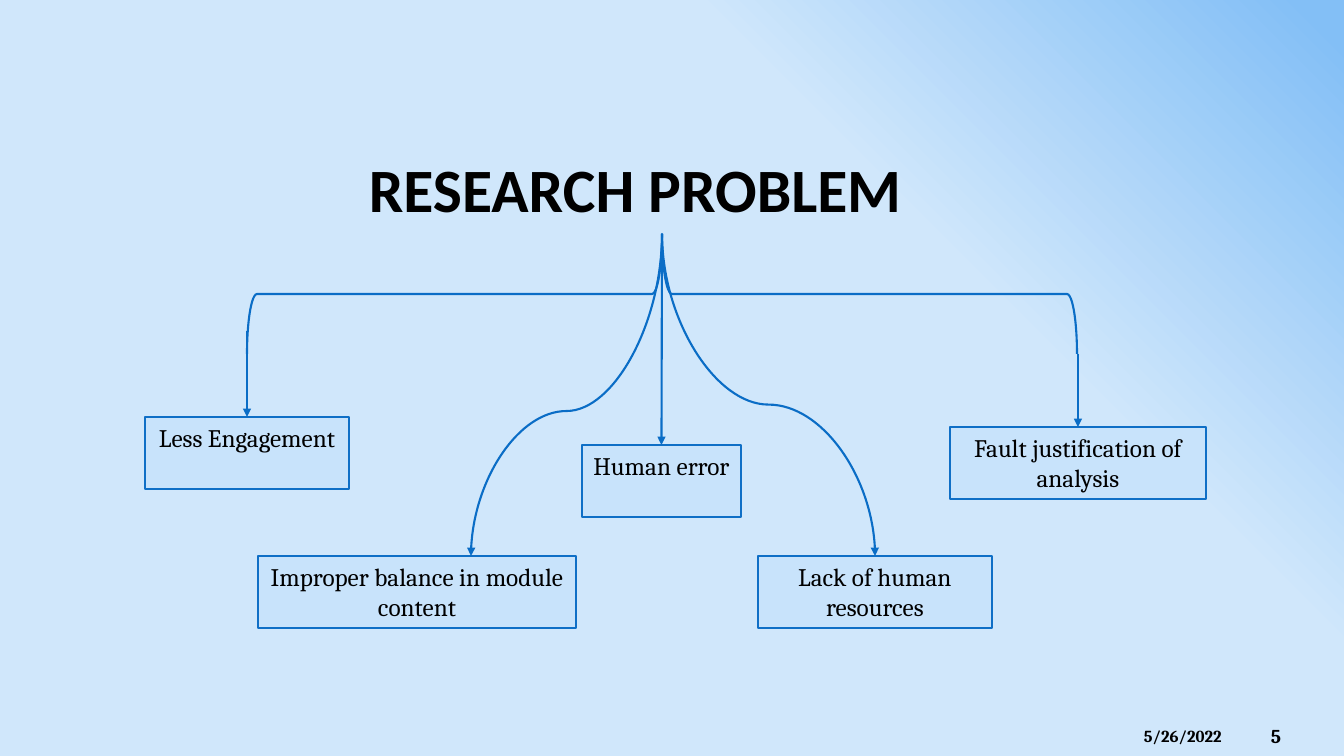
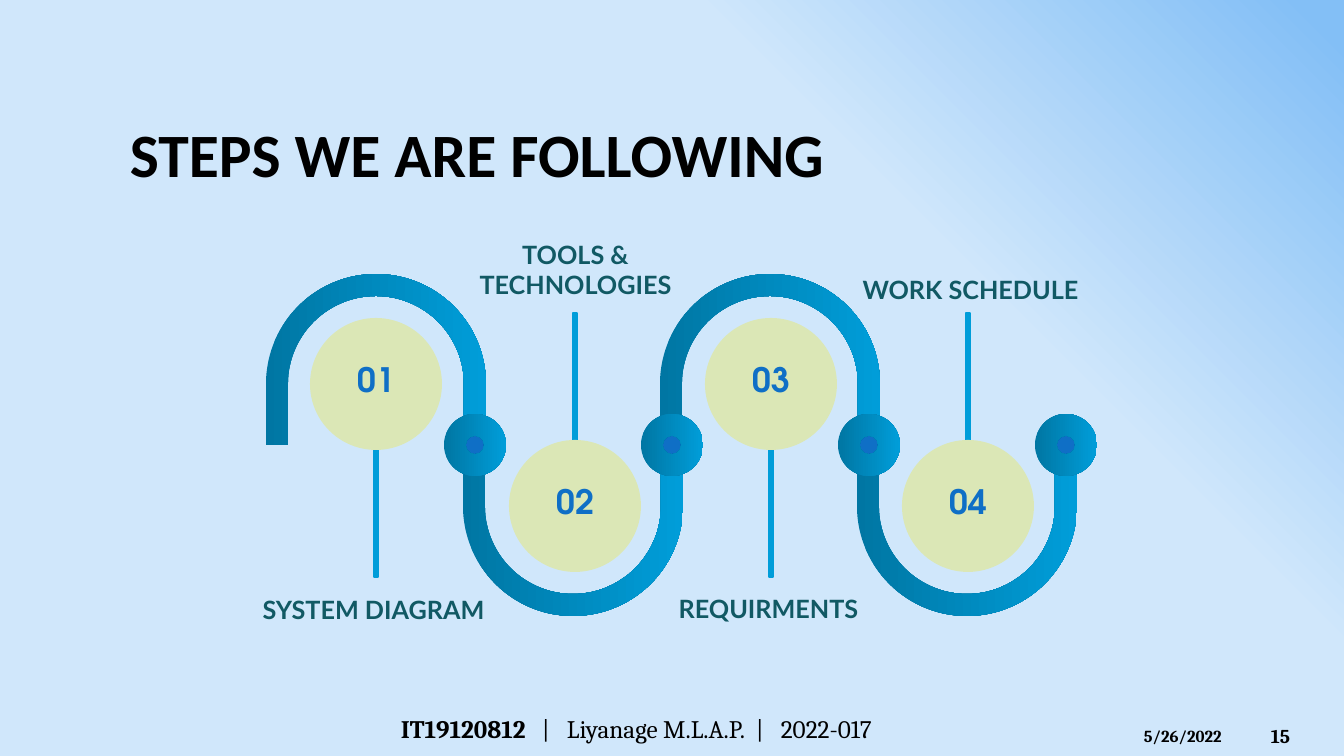
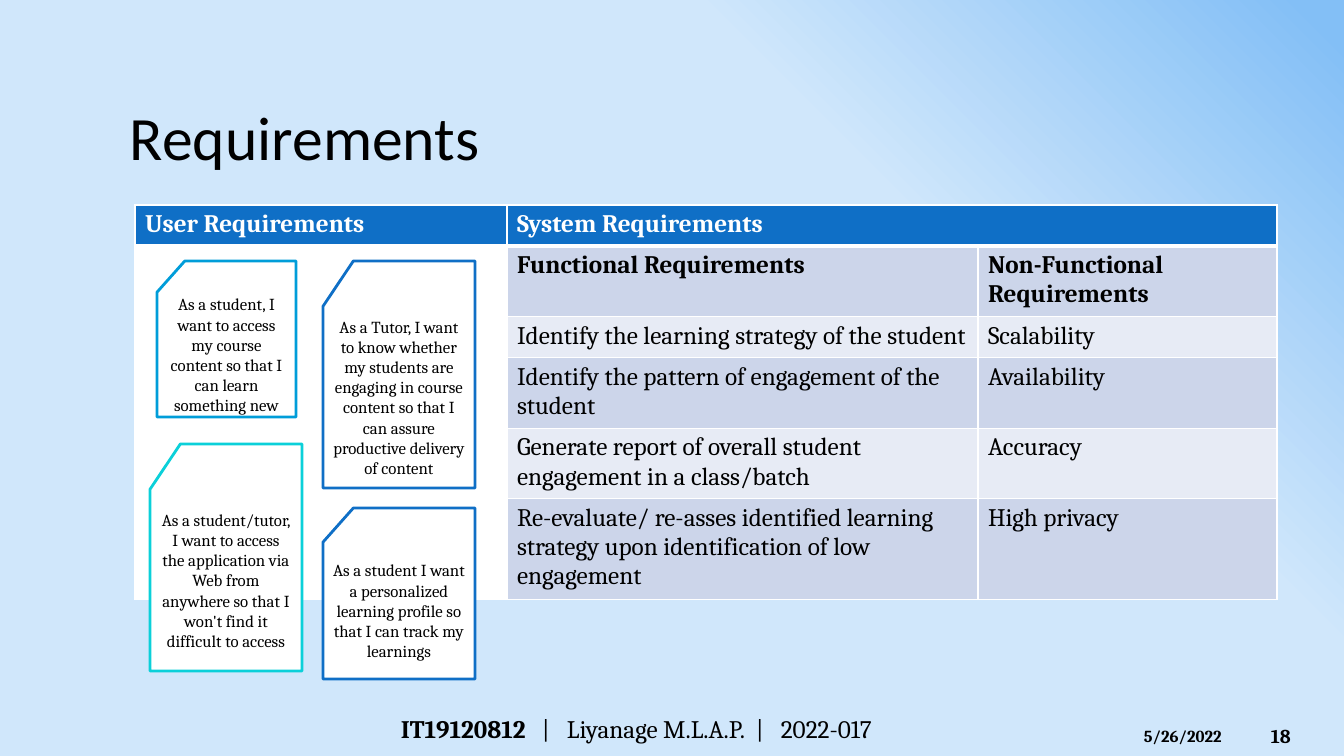
"""Build three research slides: problem tree, step timeline and requirements."""
import math

from lxml import etree
from pptx import Presentation
from pptx import util as u
from pptx.dml import color
from pptx.enum import shapes, text
from pptx.oxml import ns

EMU_PER_PX = 914400 / 100.8
COLOURS = {
    "black": "000000", "white": "FFFFFF", "sky": "D0E7FB", "sky_deep": "83BFF6",
    "blue": "0F6FC6", "branch": "0A6DC6", "pale": "C8E3FB", "cyan": "009DD9",
    "cyan_deep": "0076A3", "aqua": "0BD0D9", "lime": "DBE7B6", "teal": "115964",
    "band_dark": "CCD5EA", "band_light": "E7EBF5",
}
STYLES = {
    name: {"name": font, "size": u.Pt(size), "bold": bold, "color": colour}
    for name, font, size, bold, colour in [
        ("title", "Calibri", 44, True, "black"),
        ("title_light", "Calibri", 44, False, "black"),
        ("body", "Cambria", 18, False, "black"),
        ("strong", "Cambria", 18, True, "black"),
        ("header", "Cambria", 18, True, "white"),
        ("card", "Cambria", 12, False, "black"),
        ("date", "Cambria", 12, True, "black"),
        ("page", "Cambria", 14, True, "black"),
        ("numeral", "TeX Gyre Adventor", 24, True, "blue"),
        ("label", "Lato", 18, True, "teal"),
    ]
}
CENTER, LEFT = text.PP_ALIGN.CENTER, text.PP_ALIGN.LEFT
TOP, MIDDLE = text.MSO_ANCHOR.TOP, text.MSO_ANCHOR.MIDDLE


def px(length):
    """Turn px into EMU."""
    return u.Emu(round(length * EMU_PER_PX))


def rgb(name):
    """Look up a named colour."""
    return color.RGBColor.from_string(COLOURS[name])


def add_run(paragraph, words, style):
    """Append a run in a named style."""
    run = paragraph.add_run()
    run.text = words
    for key, value in STYLES[style].items():
        if key == "color":
            run.font.color.rgb = rgb(value)
        else:
            setattr(run.font, key, value)


def write(frame, words, style, align=LEFT, anchor=TOP):
    """Fill a text frame, one paragraph per line."""
    for key, value in {"word_wrap": True, "vertical_anchor": anchor}.items():
        setattr(frame, key, value)
    for index, line in enumerate(words.split("\n")):
        paragraph = frame.add_paragraph() if index else frame.paragraphs[0]
        paragraph.alignment = align
        add_run(paragraph, line, style)


def add_text(slide, box, words, style, align=LEFT, anchor=TOP):
    """Add a text box."""
    shape = slide.shapes.add_textbox(*map(px, box))
    write(shape.text_frame, words, style, align, anchor)


def set_gradient(fill, stops, angle):
    """Give a fill a two-stop linear gradient."""
    fill.gradient()
    fill.gradient_angle = angle
    for stop, (position, name) in zip(fill.gradient_stops, stops):
        stop.position = position
        stop.color.rgb = rgb(name)


def paint(shape, fill=None, line=None, weight=1.5):
    """Set fill and line of a shape and drop its shadow."""
    shape.shadow.inherit = False
    if fill == "ribbon":
        set_gradient(shape.fill, [(0, "cyan_deep"), (1, "cyan")], 0)
    elif fill:
        shape.fill.solid()
        shape.fill.fore_color.rgb = rgb(fill)
    else:
        shape.fill.background()
    if line:
        shape.line.color.rgb = rgb(line)
        shape.line.width = u.Pt(weight)
    else:
        shape.line.fill.background()
    return shape


def add_preset(slide, kind, box, *colours):
    """Add a painted preset shape."""
    return paint(slide.shapes.add_shape(kind, *map(px, box)), *colours)


def add_disc(slide, kind, x, y, diameter, fill):
    """Add a round shape around a centre."""
    box = (x - diameter / 2, y - diameter / 2, diameter, diameter)
    return add_preset(slide, kind, box, fill)


def add_arrow(slide, kind, start, end):
    """Add a connector with an arrowhead at its end."""
    arrow = slide.shapes.add_connector(kind, *map(px, (*start, *end)))
    arrow.line.color.rgb = rgb("branch")
    arrow.line.width = u.Pt(1.5)
    line = arrow.line._get_or_add_ln()
    etree.SubElement(line, ns.qn("a:tailEnd"), type="triangle")
    etree.SubElement(arrow._element.spPr, ns.qn("a:effectLst"))
    return arrow


def add_drop_curve(slide, start, end, bend):
    """Add a curved arrow that leaves and arrives vertically."""
    (x1, y1), (x2, y2) = start, end
    half_drop, half_shift = (y2 - y1) / 2, abs(x2 - x1) / 2
    x, y = (x1 + x2) / 2, (y1 + y2) / 2
    side = 1 if x2 > x1 else -1
    arrow = add_arrow(slide, shapes.MSO_CONNECTOR.CURVE,
                      (x + side * half_drop, y - half_shift),
                      (x - side * half_drop, y + half_shift))
    properties = arrow._element.spPr
    properties.find(ns.qn("a:xfrm")).set("rot", str((270 if side > 0 else 90) * 60000))
    geometry = properties.find(ns.qn("a:prstGeom"))
    adjustments = geometry.find(ns.qn("a:avLst"))
    if adjustments is None:
        adjustments = etree.SubElement(geometry, ns.qn("a:avLst"))
    etree.SubElement(adjustments, ns.qn("a:gd"), name="adj1", fmla=f"val {round(bend * 100000)}")


def add_footer(slide, box):
    """Write the author line on tab stops."""
    frame = slide.shapes.add_textbox(*map(px, box)).text_frame
    frame.word_wrap = True
    frame.vertical_anchor = MIDDLE
    paragraph = frame.paragraphs[0]
    stops = etree.SubElement(paragraph._p.get_or_add_pPr(), ns.qn("a:tabLst"))
    for position in (141, 166, 355, 380):
        etree.SubElement(stops, ns.qn("a:tab"), pos=str(px(position)), algn="l")
    add_run(paragraph, "IT19120812", "strong")
    add_run(paragraph, "\t|\tLiyanage M.L.A.P.\t|\t2022-017", "body")


def start_slide(presentation, title, title_box, page, style="title", footer=True):
    """Add a slide with title, date, page number and footer."""
    slide = presentation.slides.add_slide(presentation.slide_layouts[6])
    add_text(slide, (1261, 716, 75, 40), page, "page", anchor=MIDDLE)
    add_text(slide, (1134, 721, 118, 30), "5/26/2022", "date")
    add_text(slide, title_box, title, style, anchor=MIDDLE)
    if footer:
        add_footer(slide, (391, 708, 751, 40))
    return slide


def draw_problem_tree(slide, box):
    """Draw the brace, the causes and the arrows to them."""
    left, top = box[:2]
    root = left + 517
    brace = add_preset(slide, shapes.MSO_SHAPE.RIGHT_BRACE,
                       (root - 60, top + 60 - 415, 120, 830), None, "branch")
    brace.rotation = 270
    causes = [
        ("Less Engagement", 0, 183, 204, (102, 97)),
        ("Improper balance in module content", 113, 322, 318, None),
        ("Human error", 437, 211, 159, (517, 13)),
        ("Lack of human\nresources", 613, 322, 234, None),
        ("Fault justification of analysis", 805, 193, 256, (933, 120)),
    ]
    for words, x, y, width, start in causes:
        cause = add_preset(slide, shapes.MSO_SHAPE.RECTANGLE,
                           (left + x, top + y, width, 72), "pale", "blue")
        write(cause.text_frame, words, "body", CENTER)
        if start:
            start = (left + start[0], top + start[1])
            arrow = add_arrow(slide, shapes.MSO_CONNECTOR.STRAIGHT, start, (left + x, top + y))
            arrow.end_connect(cause, 0)
    for x, bend in ((326, 0.55), (730, 0.53)):
        add_drop_curve(slide, (root, top), (left + x, top + 322), bend)


def add_arch(slide, x, base, side, leg=61, outer=110, inner=88):
    """Add a U-shaped ribbon; side is -1 for up and 1 for down."""
    def arc(radius):
        return [(x + radius * math.cos(math.radians(angle)),
                 base + side * (leg + radius * math.sin(math.radians(angle))))
                for angle in range(0, 181, 3)]
    points = [(x + outer, base), *arc(outer), (x - outer, base),
              (x - inner, base), *reversed(arc(inner)), (x + inner, base)]
    points = [(px(across), px(down)) for across, down in points]
    builder = slide.shapes.build_freeform(*points[0], scale=1.0)
    builder.add_line_segments(points[1:], close=True)
    paint(builder.convert_to_shape(), "ribbon")


def draw_timeline(slide, box):
    """Draw the winding ribbon with four numbered steps."""
    left, top = box[:2]
    base, pitch = top + 211, 197
    steps = [
        ("SYSTEM DIAGRAM", 110, -21, 355, 38),
        ("TOOLS & TECHNOLOGIES", 309, 181, 0, 66),
        ("REQUIRMENTS", 505, 374, 354, 38),
        ("WORK SCHEDULE", 702, 576, 35, 38),
    ]
    sides = (-1, 1, -1, 1)
    for step, side in zip(steps, sides):
        y = base + side * 61
        stem = (left + step[1] - 2, y if side < 0 else y - 193, 4, 193)
        add_preset(slide, shapes.MSO_SHAPE.RECTANGLE, stem, "cyan", "cyan", 2)
    for index, side in enumerate(sides):
        add_arch(slide, left + 110 + index * pitch, base, side)
    for index in range(len(steps)):
        x = left + 209 + index * pitch
        add_disc(slide, shapes.MSO_SHAPE.OVAL, x, base, 40, "blue")
        ring = add_disc(slide, shapes.MSO_SHAPE.DONUT, x, base, 62, "ribbon")
        ring.adjustments[0] = 0.35
    for index, (step, side) in enumerate(zip(steps, sides), 1):
        words, x, label_left, label_top, height = step
        x, y = left + x, base + side * 61
        add_disc(slide, shapes.MSO_SHAPE.OVAL, x, y, 132, "lime")
        add_text(slide, (x - 43, y - 30, 86, 59), f"{index:02}", "numeral", CENTER)
        add_text(slide, (left + label_left, top + label_top, 257, height), words, "label", CENTER)


def set_borders(cell, bottom, top):
    """Give a cell white borders; top and bottom in points."""
    properties = cell._tc.get_or_add_tcPr()
    for index, (side, weight) in enumerate((("L", 1), ("R", 1), ("T", top), ("B", bottom))):
        line = etree.Element(ns.qn(f"a:ln{side}"), w=str(u.Pt(weight)))
        fill = etree.SubElement(line, ns.qn("a:solidFill"))
        etree.SubElement(fill, ns.qn("a:srgbClr"), val=COLOURS["white"])
        properties.insert(index, line)


def draw_requirements(slide, box):
    """Draw the requirements table."""
    rows = [
        ("User Requirements", "System Requirements", ""),
        ("", "Functional Requirements", "Non-Functional Requirements"),
        ("", "Identify the learning strategy of the student", "Scalability"),
        ("", "Identify the pattern of engagement of the student", "Availability"),
        ("", "Generate report of overall student engagement in a class/batch", "Accuracy"),
        ("", "Re-evaluate/ re-asses identified learning strategy upon identification "
             "of low engagement", "High privacy"),
    ]
    table = slide.shapes.add_table(len(rows), 3, *map(px, box)).table
    for column, width in zip(table.columns, (372, 471, 299)):
        column.width = px(width)
    for row, height in zip(table.rows, (41, 68, 41, 68, 68, 98)):
        row.height = px(height)
    table.cell(0, 1).merge(table.cell(0, 2))
    styles = ["header", "strong"] + ["body"] * 4
    for row, (values, style) in enumerate(zip(rows, styles)):
        for column, words in enumerate(values):
            cell = table.cell(row, column)
            band = "band_dark" if row % 2 else "band_light"
            fill = "blue" if row == 0 else band if column else "white"
            cell.fill.solid()
            cell.fill.fore_color.rgb = rgb(fill)
            set_borders(cell, 3 if row == 0 else 1, 3 if row == 1 else 1)
            if words:
                write(cell.text_frame, words, style)


def draw_user_cards(slide, box):
    """Draw the user story cards."""
    left, top = box[:2]
    cards = [
        ("As a student, I want to access my course content so that I can learn "
         "something new", (22, 56, 139, 156), "cyan"),
        ("As a Tutor, I want to know whether my students are engaging in course content "
         "so that I can assure productive delivery of content", (188, 56, 152, 227), "blue"),
        ("As a student/tutor, I want to access the application via Web from anywhere "
         "so that I won't find it difficult to access", (15, 239, 152, 227), "aqua"),
        ("As a student I want a personalized learning profile so that I can track my "
         "learnings", (188, 303, 152, 171), "blue"),
    ]
    for words, (x, y, width, height), line in cards:
        card = add_preset(slide, shapes.MSO_SHAPE.FLOWCHART_CARD,
                          (left + x, top + y, width, height), "white", line, 2)
        write(card.text_frame, words, "card", CENTER, MIDDLE)


def main():
    """Build and save the presentation."""
    presentation = Presentation()
    presentation.slide_width, presentation.slide_height = px(1344), px(756)
    set_gradient(presentation.slide_master.background.fill,
                 [(0.69, "sky"), (0.98, "sky_deep")], 45)

    slide = start_slide(presentation, "RESEARCH PROBLEM", (359, 107, 606, 162), "5", footer=False)
    draw_problem_tree(slide, (145, 234, 1061, 394))

    slide = start_slide(presentation, "STEPS WE ARE FOLLOWING", (120, 72, 1142, 162), "15")
    draw_timeline(slide, (266, 234, 831, 393))

    slide = start_slide(presentation, "Requirements", (120, 55, 1142, 162), "18", "title_light")
    draw_requirements(slide, (135, 205, 1142, 384))
    draw_user_cards(slide, (135, 205, 372, 474))

    presentation.save("out.pptx")


if __name__ == "__main__":
    main()
